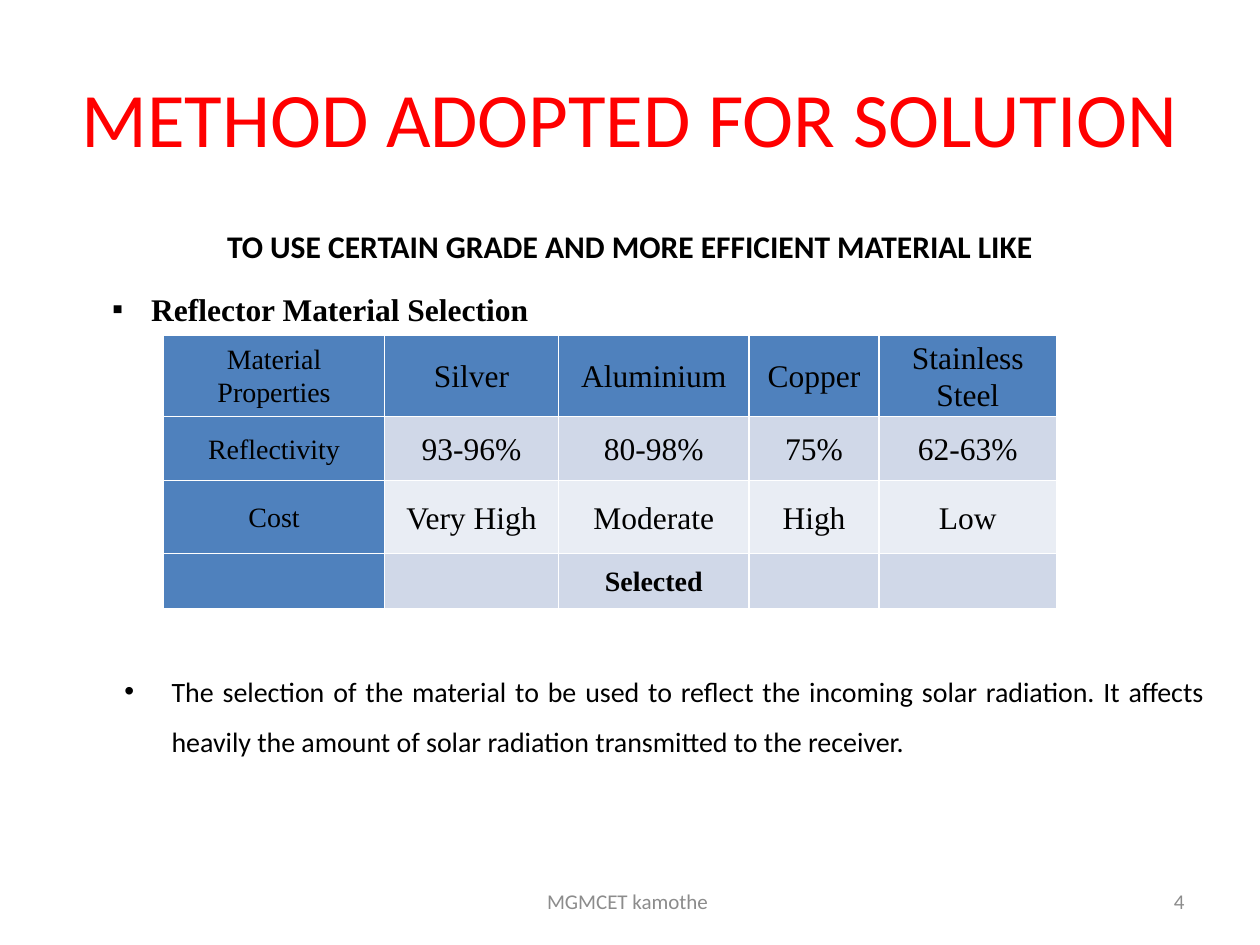
from lxml.etree import SubElement
from pptx import Presentation
from pptx.dml.color import RGBColor
from pptx.enum.text import MSO_ANCHOR, PP_ALIGN
from pptx.oxml import parse_xml
from pptx.oxml.ns import nsdecls, qn
from pptx.util import Cm, Pt

RED = RGBColor(0xFF, 0x00, 0x00)
BLACK = RGBColor(0x00, 0x00, 0x00)
GREY = RGBColor(0x8C, 0x8C, 0x8C)
BLUE = RGBColor(0x4F, 0x81, 0xBD)
BANDS = [RGBColor(0xE9, 0xED, 0xF4), RGBColor(0xD0, 0xD8, 0xE8)]

SERIF = "Times New Roman"
MATERIALS = [
    ["Material Properties", "Silver", "Aluminium", "Copper", "Stainless Steel"],
    ["Reflectivity", "93-96%", "80-98%", "75%", "62-63%"],
    ["Cost", "Very High", "Moderate", "High", "Low"],
    ["", "", "Selected", "", ""],
]
COL_WIDTHS = [4.45, 3.51, 3.84, 2.62, 3.58]
ROW_HEIGHTS = [1.63, 1.3, 1.47, 1.12]


def set_attrs(obj, values):
    for name, value in values.items():
        setattr(obj, name, value)


class SlideBuilder:
    def __init__(self, slide, font="Calibri"):
        self.slide = slide
        self.font = font

    def fill_text(self, tf, text, size, color=BLACK, bold=False, font=None, **para):
        p = tf.paragraphs[0]
        set_attrs(p, para)
        r = p.add_run()
        r.text = text
        set_attrs(r.font, {"name": font or self.font, "size": Pt(size), "bold": bold})
        r.font.color.rgb = color
        return p

    def text(self, box, text, size, anchor=MSO_ANCHOR.TOP, **style):
        sp = self.slide.shapes.add_textbox(*map(Cm, box))
        tf = sp.text_frame
        set_attrs(tf, {"word_wrap": True, "vertical_anchor": anchor})
        return self.fill_text(tf, text, size, **style)

    def bullet(self, box, text, size, char, bullet_font, indent, **style):
        """Add a text box whose one paragraph hangs behind a bullet."""
        pPr = self.text(box, text, size, **style)._p.get_or_add_pPr()
        pPr.set("marL", str(Cm(indent)))
        pPr.set("indent", str(-Cm(indent)))
        SubElement(pPr, qn("a:buFont"), typeface=bullet_font)
        SubElement(pPr, qn("a:buChar"), char=char)

    def table(self, left, top, rows, widths, heights):
        frame = self.slide.shapes.add_table(
            len(rows), len(widths), Cm(left), Cm(top), Cm(sum(widths)), Cm(sum(heights)))
        tbl = frame.table
        for col, width in zip(tbl.columns, widths):
            col.width = Cm(width)
        for row, height in zip(tbl.rows, heights):
            row.height = Cm(height)
        for i, row in enumerate(rows):
            for j, text in enumerate(row):
                self.cell(tbl.cell(i, j), text, i, j)

    def cell(self, cell, text, i, j):
        cell.fill.solid()
        cell.fill.fore_color.rgb = BLUE if 0 in (i, j) else BANDS[i % 2]
        self.borders(cell)
        if not text:
            return
        set_attrs(cell, {"vertical_anchor": MSO_ANCHOR.MIDDLE,
                         "margin_left": Cm(0.15), "margin_right": Cm(0.15),
                         "margin_top": 0, "margin_bottom": 0})
        selected = text == "Selected"
        self.fill_text(cell.text_frame, text, 16 if j == 0 or selected else 18,
                       bold=selected, font=SERIF, alignment=PP_ALIGN.CENTER,
                       line_spacing=1.07, space_after=Pt(8))

    def borders(self, cell):
        tcPr = cell._tc.get_or_add_tcPr()
        for k, side in enumerate("LRTB"):
            tcPr.insert(k, parse_xml(
                f'<a:ln{side} {nsdecls("a")} w="{Pt(1)}"><a:solidFill>'
                f'<a:srgbClr val="FFFFFF"/></a:solidFill></a:ln{side}>'))


def main():
    prs = Presentation()
    set_attrs(prs, {"slide_width": Cm(25.4), "slide_height": Cm(19.05)})
    s = SlideBuilder(prs.slides.add_slide(prs.slide_layouts[6]))

    s.text((1.27, 0.76, 22.86, 3.18), "METHOD ADOPTED FOR SOLUTION", 44,
           MSO_ANCHOR.MIDDLE, color=RED, alignment=PP_ALIGN.CENTER)
    s.text((1.27, 4.45, 22.86, 12.57),
           "TO USE CERTAIN GRADE AND MORE EFFICIENT MATERIAL LIKE", 18,
           bold=True, alignment=PP_ALIGN.CENTER)
    s.text((8.68, 17.66, 8.04, 1.01), "MGMCET kamothe ", 12,
           MSO_ANCHOR.MIDDLE, color=GREY, alignment=PP_ALIGN.CENTER)
    s.text((18.2, 17.66, 5.93, 1.01), "4", 12,
           MSO_ANCHOR.MIDDLE, color=GREY, alignment=PP_ALIGN.RIGHT)
    s.bullet((2.26, 13.13, 22.28, 2.87),
             "The selection of the material to be used to reflect the incoming solar "
             "radiation. It affects heavily the amount of solar radiation transmitted "
             "to the receiver.", 16, "•", "Arial", 0.95,
             alignment=PP_ALIGN.JUSTIFY, line_spacing=1.5)
    s.bullet((2.01, 5.72, 16.1, 1.02), "Reflector Material Selection", 18,
             "▪", "Arial", 0.79, bold=True, font=SERIF)
    s.table(3.3, 6.76, MATERIALS, COL_WIDTHS, ROW_HEIGHTS)

    prs.save("out.pptx")


if __name__ == "__main__":
    main()
